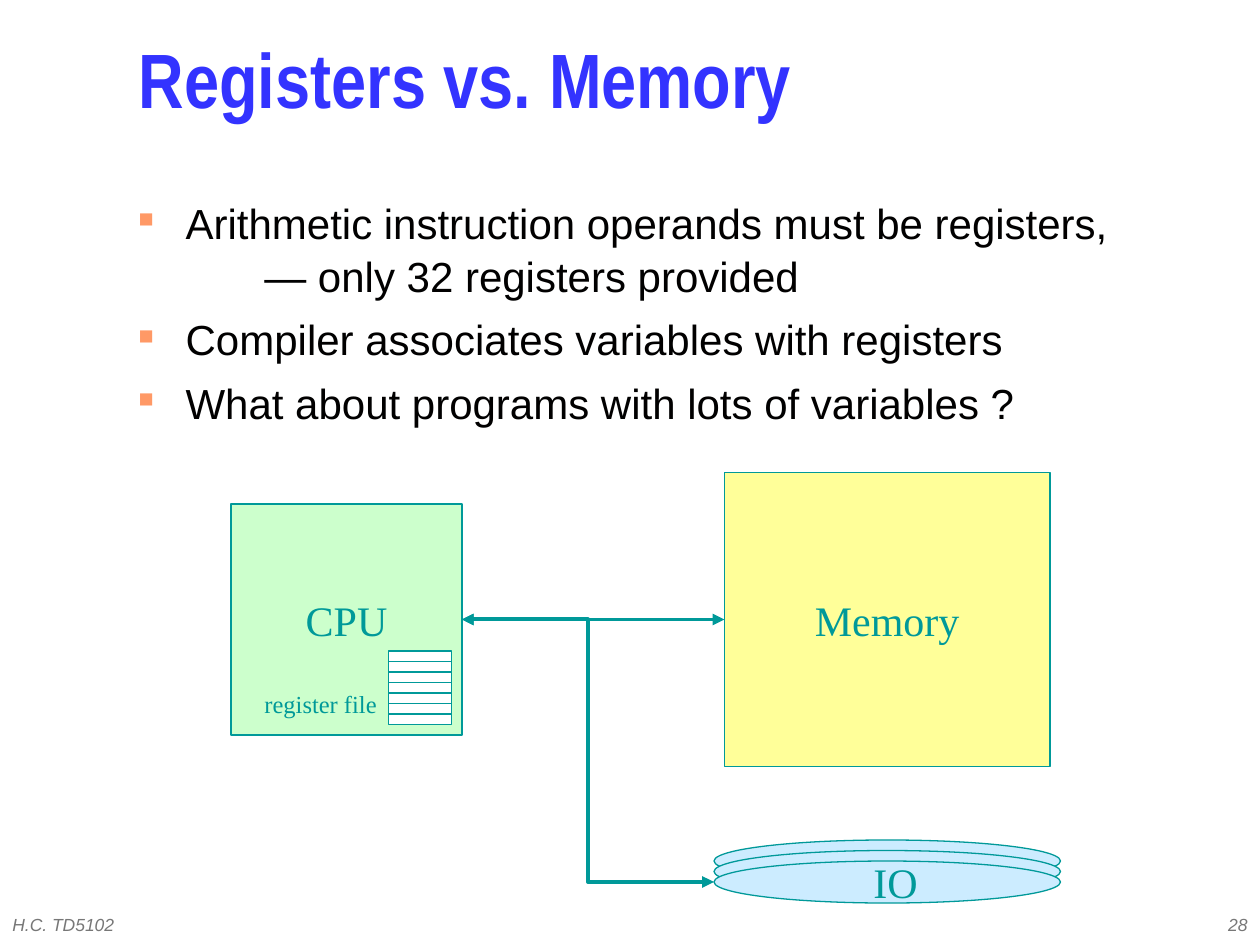
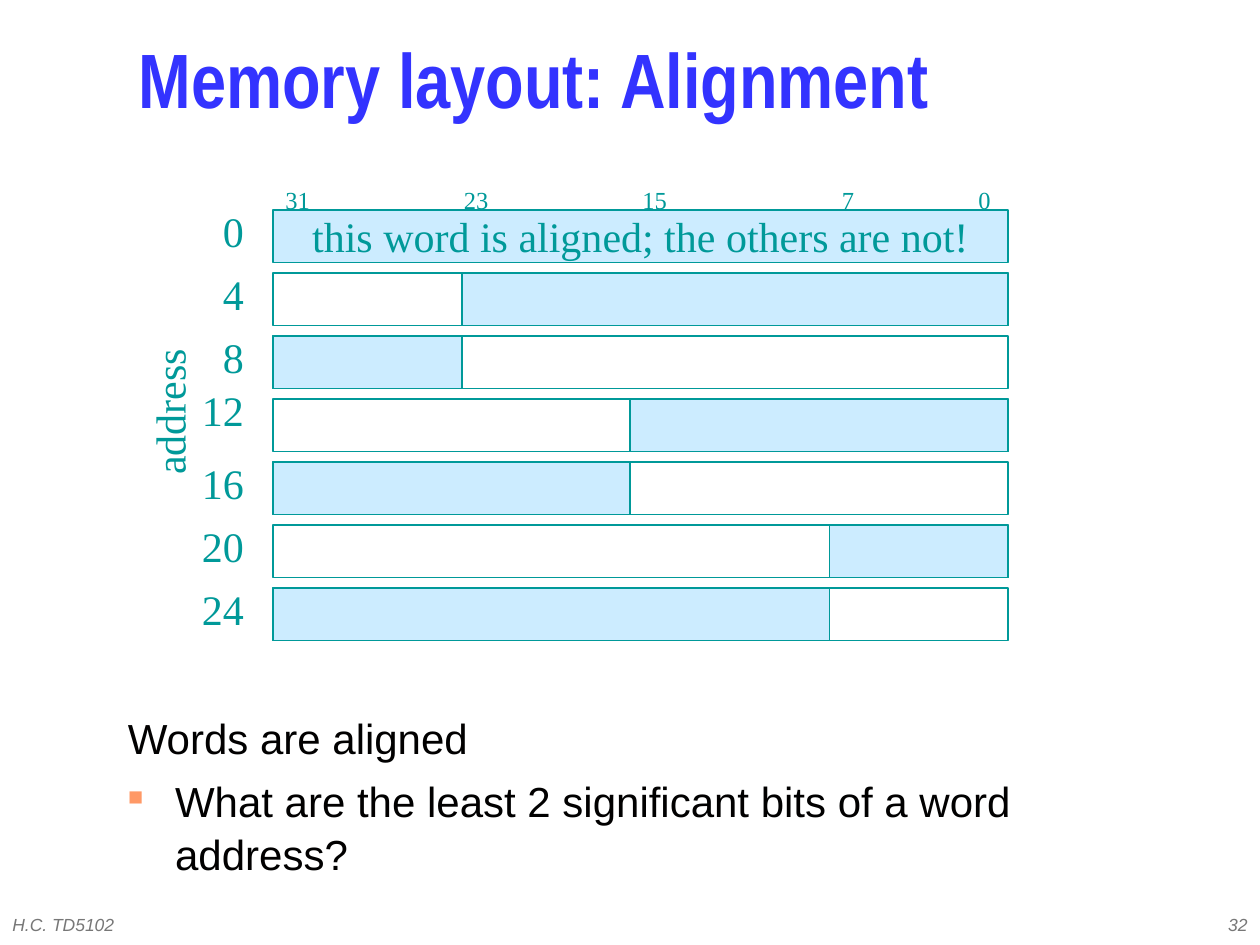
from dataclasses import dataclass
from typing import NamedTuple

from lxml import etree
from pptx import Presentation
from pptx.dml.color import RGBColor
from pptx.enum.shapes import MSO_CONNECTOR, MSO_SHAPE
from pptx.enum.text import MSO_ANCHOR, MSO_AUTO_SIZE, PP_ALIGN
from pptx.oxml.ns import qn
from pptx.shapes.autoshape import Shape
from pptx.slide import Slide
from pptx.text.text import TextFrame
from pptx.util import Cm, Length, Pt

RECTANGLE, ELLIPSE = MSO_SHAPE.RECTANGLE, MSO_SHAPE.OVAL
STRAIGHT, ELBOW = MSO_CONNECTOR.STRAIGHT, MSO_CONNECTOR.ELBOW
LEFT, CENTER, RIGHT = PP_ALIGN.LEFT, PP_ALIGN.CENTER, PP_ALIGN.RIGHT
TOP, MIDDLE = MSO_ANCHOR.TOP, MSO_ANCHOR.MIDDLE
NO_AUTOFIT = MSO_AUTO_SIZE.NONE
TITLE_ONLY = 5


@dataclass(frozen=True)
class TextStyle:
    font: str
    size: float
    color: str
    bold: bool = False
    italic: bool = False


@dataclass(frozen=True)
class Theme:
    title: TextStyle = TextStyle("Arial Narrow", 44, "3333FF", bold=True)
    body: TextStyle = TextStyle("Arial", 24, "010000")
    footer: TextStyle = TextStyle("Arial", 10, "777777", italic=True)
    label: TextStyle = TextStyle("Times New Roman", 24, "009999")
    small_label: TextStyle = TextStyle("Times New Roman", 14, "009999")
    outline: str = "009999"
    bullet: str = "FF9966"
    cpu: str = "CCFFCC"
    memory: str = "FFFF99"
    shaded: str = "CCECFF"
    plain: str = "FFFFFF"
    thin: float = 0.75
    bus: float = 2.25


THEME = Theme()


class Box(NamedTuple):
    """Left, top, width and height in grid steps."""
    left: float
    top: float
    width: float
    height: float


class BodyLine(NamedTuple):
    """A body paragraph; each segment after the first starts a tabbed new line."""
    segments: tuple[str, ...]
    bulleted: bool = True


class Label(NamedTuple):
    text: str
    box: Box
    style: TextStyle = THEME.label
    align: PP_ALIGN = LEFT
    rotation: float = 0


class WordRow(NamedTuple):
    """A memory word whose bytes between two grid columns are shaded."""
    address: str
    shaded_from: float
    shaded_to: float
    text: str = ""
    label_shift: float = 0


TITLE_BOX = Box(12, 2, 103, 13)
FOOTER_BOX = Box(0, 86, 38, 4)
NUMBER_BOX = Box(95, 86, 25, 4)
FOOTER_TEXT = "H.C. TD5102"

WORD_LEFT, WORD_RIGHT = 26, 96
WORD_TOP, WORD_PITCH, WORD_HEIGHT = 20, 6, 5
BYTE_3, BYTE_2, BYTE_1 = 44, 60, 79
WORD_ROWS = (
    WordRow("0", WORD_LEFT, WORD_RIGHT, "this word is aligned; the others are not!"),
    WordRow("4", BYTE_3, WORD_RIGHT),
    WordRow("8", WORD_LEFT, BYTE_3),
    WordRow("12", BYTE_2, WORD_RIGHT, label_shift=-1),
    WordRow("16", WORD_LEFT, BYTE_2),
    WordRow("20", BYTE_1, WORD_RIGHT),
    WordRow("24", WORD_LEFT, BYTE_1),
)
BIT_COLUMNS = {"31": 26, "23": 43, "15": 60, "7": 79, "0": 92}


def grid(steps: float) -> Length:
    """Twelve grid steps make 2.54 cm."""
    return Cm(steps * 2.54 / 12)


def place(box: Box) -> tuple[Length, ...]:
    return tuple(grid(steps) for steps in box)


def add_run(paragraph, text: str, style: TextStyle) -> None:
    run = paragraph.add_run()
    run.text = text
    font = run.font
    font.name, font.size = style.font, Pt(style.size)
    font.bold, font.italic = style.bold, style.italic
    font.color.rgb = RGBColor.from_string(style.color)


def set_frame(frame: TextFrame, anchor: MSO_ANCHOR, wrap: bool) -> None:
    frame.auto_size = NO_AUTOFIT
    frame.word_wrap = wrap
    frame.vertical_anchor = anchor


def add_label(slide: Slide, label: Label, anchor: MSO_ANCHOR = TOP, wrap: bool = False) -> None:
    text_box = slide.shapes.add_textbox(*place(label.box))
    text_box.rotation = label.rotation
    set_frame(text_box.text_frame, anchor, wrap)
    paragraph = text_box.text_frame.paragraphs[0]
    paragraph.alignment = label.align
    add_run(paragraph, label.text, label.style)


def add_block(slide: Slide, box: Box, fill: str, text: str = "", kind: MSO_SHAPE = RECTANGLE) -> Shape:
    block = slide.shapes.add_shape(kind, *place(box))
    block.shadow.inherit = False
    block.fill.solid()
    block.fill.fore_color.rgb = RGBColor.from_string(fill)
    block.line.color.rgb = RGBColor.from_string(THEME.outline)
    block.line.width = Pt(THEME.thin)
    if text:
        set_frame(block.text_frame, MIDDLE, False)
        paragraph = block.text_frame.paragraphs[0]
        paragraph.alignment = CENTER
        add_run(paragraph, text, THEME.label)
    return block


def add_link(slide: Slide, start: tuple[float, float], end: tuple[float, float],
             width: float = THEME.thin, kind: MSO_CONNECTOR = STRAIGHT, arrows: bool = False) -> None:
    link = slide.shapes.add_connector(kind, *(grid(steps) for steps in start + end))
    link.line.color.rgb = RGBColor.from_string(THEME.outline)
    link.line.width = Pt(width)
    properties = link._element.spPr
    if arrows:
        for tip in ("a:headEnd", "a:tailEnd"):
            etree.SubElement(properties.find(qn("a:ln")), qn(tip), type="triangle")
    etree.SubElement(properties, qn("a:effectLst"))


def format_body_paragraph(paragraph, bulleted: bool) -> None:
    """Set the hanging indent, the square bullet and the tab stop."""
    properties = paragraph._p.get_or_add_pPr()
    properties.set("marL", str(grid(4.5)))
    properties.set("indent", str(grid(-4.5)))
    if bulleted:
        bullet_color = etree.SubElement(properties, qn("a:buClr"))
        etree.SubElement(bullet_color, qn("a:srgbClr"), val=THEME.bullet)
        etree.SubElement(properties, qn("a:buSzPct"), val="50000")
        etree.SubElement(properties, qn("a:buChar"), char="■")
    else:
        etree.SubElement(properties, qn("a:buNone"))
    tabs = etree.SubElement(properties, qn("a:tabLst"))
    etree.SubElement(tabs, qn("a:tab"), pos=str(grid(12)), algn="l")


def add_body(slide: Slide, box: Box, lines: tuple[BodyLine, ...]) -> None:
    frame = slide.shapes.add_textbox(*place(box)).text_frame
    set_frame(frame, TOP, True)
    for index, line in enumerate(lines):
        paragraph = frame.add_paragraph() if index else frame.paragraphs[0]
        format_body_paragraph(paragraph, line.bulleted)
        paragraph.line_spacing = 1.05
        if index:
            paragraph.space_before = Pt(6)
        first, *rest = line.segments
        add_run(paragraph, first, THEME.body)
        for segment in rest:
            paragraph.add_line_break()
            add_run(paragraph, "\t" + segment, THEME.body)


def add_titled_slide(presentation, title_text: str, number: str) -> Slide:
    slide = presentation.slides.add_slide(presentation.slide_layouts[TITLE_ONLY])
    title = slide.shapes.title
    title.left, title.top, title.width, title.height = place(TITLE_BOX)
    set_frame(title.text_frame, MIDDLE, True)
    paragraph = title.text_frame.paragraphs[0]
    paragraph.alignment = LEFT
    paragraph.line_spacing = 0.7
    add_run(paragraph, title_text, THEME.title)
    for label in (Label(FOOTER_TEXT, FOOTER_BOX, THEME.footer),
                  Label(number, NUMBER_BOX, THEME.footer, RIGHT)):
        add_label(slide, label, MIDDLE, wrap=True)
    return slide


def build_registers_slide(presentation) -> None:
    slide = add_titled_slide(presentation, "Registers vs. Memory", "28")
    add_body(slide, Box(12, 18, 103, 23), (
        BodyLine(("Arithmetic instruction operands must be registers,",
                  "— only 32 registers provided")),
        BodyLine(("Compiler associates variables with registers",)),
        BodyLine(("What about programs with lots of variables ?",)),
    ))
    add_block(slide, Box(22, 48, 22, 22), THEME.cpu, "CPU")
    add_block(slide, Box(69, 45, 31, 28), THEME.memory, "Memory")
    for disk_top in (80, 81, 82):
        add_block(slide, Box(68, disk_top, 33, 4), THEME.shaded, kind=ELLIPSE)
    add_label(slide, Label("IO", Box(82, 81, 6.6, 6)))

    cpu_port = (44, 59)
    add_link(slide, cpu_port, (69, 59), THEME.bus, arrows=True)
    add_link(slide, cpu_port, (68, 84), THEME.bus, ELBOW, arrows=True)

    registers = Box(37, 62, 6, 7)
    add_block(slide, registers, THEME.plain)
    for step in range(1, registers.height):
        y = registers.top + step
        add_link(slide, (registers.left, y), (registers.left + registers.width, y))
    add_label(slide, Label("register file", Box(24, 65, 13.1, 4), THEME.small_label))


def build_alignment_slide(presentation) -> None:
    slide = add_titled_slide(presentation, "Memory layout: Alignment", "32")
    add_body(slide, Box(11, 67, 103, 18), (
        BodyLine(("Words are aligned",), bulleted=False),
        BodyLine(("What are the least 2 significant bits of a word address?",)),
    ))
    add_label(slide, Label("address", Box(8.9, 36.2, 14.4, 6), rotation=270))
    for index, row in enumerate(WORD_ROWS):
        top = WORD_TOP + index * WORD_PITCH
        shaded_width = row.shaded_to - row.shaded_from
        word_width = WORD_RIGHT - WORD_LEFT
        if shaded_width < word_width:
            add_block(slide, Box(WORD_LEFT, top, word_width, WORD_HEIGHT), THEME.plain)
        add_block(slide, Box(row.shaded_from, top, shaded_width, WORD_HEIGHT), THEME.shaded, row.text)
        add_label(slide, Label(row.address, Box(18, top - 1 + row.label_shift, 6.4, 6), align=RIGHT))
    for bit, left in BIT_COLUMNS.items():
        width = 2.4 + 1.15 * len(bit)
        add_label(slide, Label(bit, Box(left, 17, width, 4), THEME.small_label))


def main() -> None:
    presentation = Presentation()
    presentation.slide_width, presentation.slide_height = Cm(25.4), Cm(19.05)
    build_registers_slide(presentation)
    build_alignment_slide(presentation)
    presentation.save("out.pptx")


if __name__ == "__main__":
    main()
